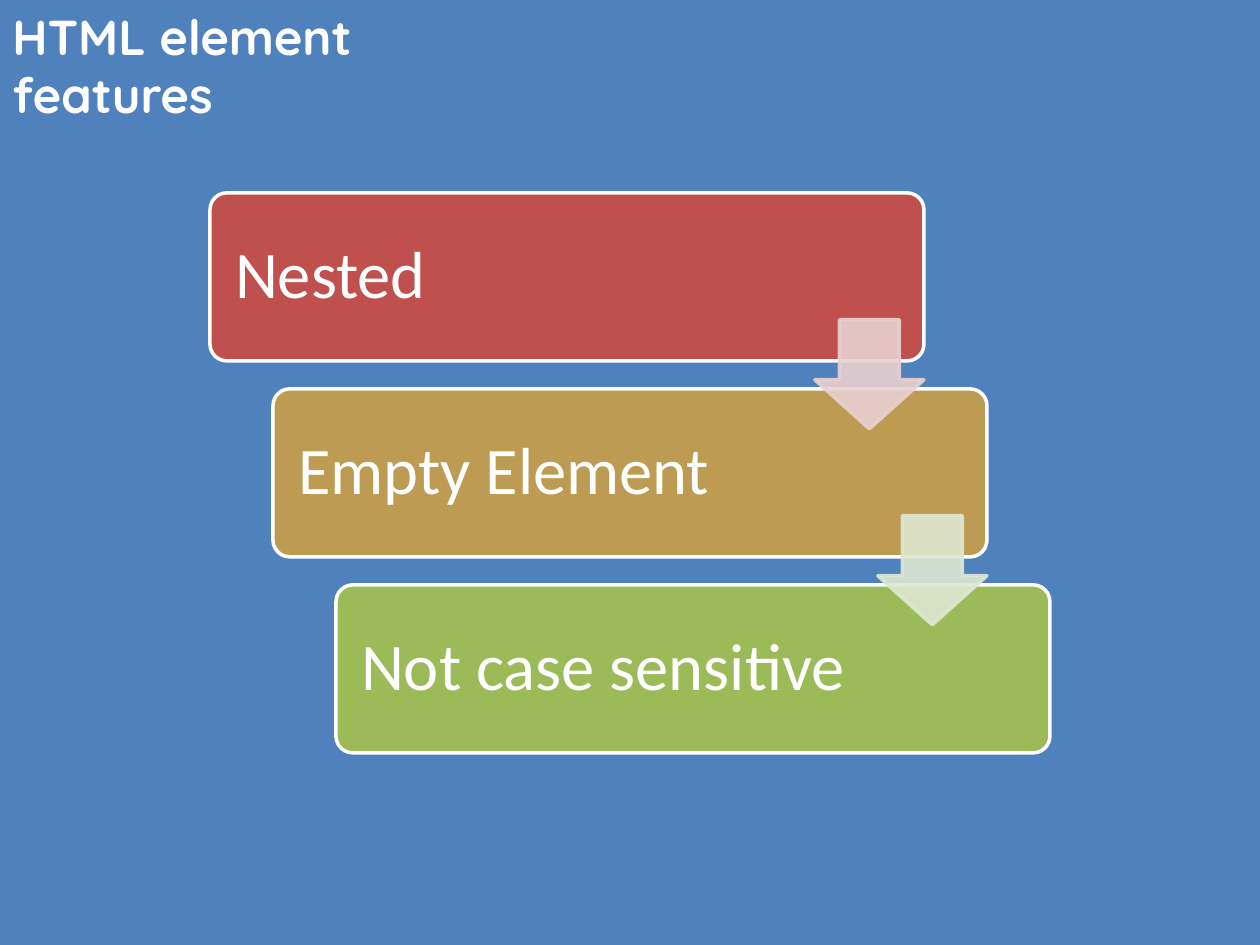
import pptx
import pptx.util
import pptx.dml.color
import pptx.enum.shapes
import pptx.enum.text
import pptx.oxml
import pptx.oxml.ns

Pt = pptx.util.Pt
SHAPES = pptx.enum.shapes.MSO_SHAPE
SLIDE_WIDTH, SLIDE_HEIGHT = 720, 540

COLORS = {
    "backdrop": "4F81BD", "white": "FFFFFF",
    "red": "C0504D", "gold": "BD9B53", "green": "9BBB59",
    "pale red": "E8D0D0", "pale green": "DEE7D1",
}
TITLE = "HTML element features"
FEATURES = [("Nested", "red"), ("Empty Element", "gold"), ("Not case sensitive", "green")]
ARROW_COLORS = ["pale red", "pale green"]

STEP_LEFT, STEP_TOP = 120, 110.2
STEP_WIDTH, STEP_HEIGHT = 408, 96
SHIFT_X, SHIFT_Y = 36, 112
ARROW_SIZE = 62.4
ARROW_DROP = 72.5  # from the top of a step to the top of its arrow


def rgb(color):
    return pptx.dml.color.RGBColor.from_string(COLORS[color])


def add_filled(slide, kind, box, fill, line=None, adjustments=()):
    shape = slide.shapes.add_shape(kind, *map(Pt, box))
    shape.shadow.inherit = False
    shape.fill.solid()
    shape.fill.fore_color.rgb = rgb(fill)
    if line:
        shape.line.color.rgb = rgb(line)
        shape.line.width = Pt(2)
    else:
        shape.line.fill.background()
    for index, value in enumerate(adjustments):
        shape.adjustments[index] = value
    return shape


def write(frame, text, font_name, size, bold=False):
    frame.text = text
    frame.word_wrap = True
    paragraph = frame.paragraphs[0]
    paragraph.alignment = pptx.enum.text.PP_ALIGN.LEFT
    font = paragraph.runs[0].font
    font.name, font.size, font.bold = font_name, Pt(size), bold
    font.color.rgb = rgb("white")


def set_opacity(shape, percent):
    """Make both fill and outline partly transparent."""
    for color in shape.element.spPr.iter(pptx.oxml.ns.qn("a:srgbClr")):
        alpha = pptx.oxml.parse_xml(
            f'<a:alpha {pptx.oxml.ns.nsdecls("a")} val="{percent * 1000}"/>')
        color.append(alpha)


def add_step(slide, index, text, color):
    box = (STEP_LEFT + index * SHIFT_X, STEP_TOP + index * SHIFT_Y, STEP_WIDTH, STEP_HEIGHT)
    step = add_filled(slide, SHAPES.ROUNDED_RECTANGLE, box, color, "white", [0.1])
    frame = step.text_frame
    write(frame, text, "Calibri", 38)
    frame.margin_left = frame.margin_right = Pt(11.5)
    frame.margin_top = frame.margin_bottom = Pt(11.5)
    frame.vertical_anchor = pptx.enum.text.MSO_ANCHOR.MIDDLE
    frame.paragraphs[0].line_spacing = 0.9


def add_arrow(slide, index, color):
    """Place an arrow flush with the right edge of the step it leaves."""
    left = STEP_LEFT + index * SHIFT_X + STEP_WIDTH - ARROW_SIZE
    top = STEP_TOP + index * SHIFT_Y + ARROW_DROP
    arrow = add_filled(slide, SHAPES.DOWN_ARROW, (left, top, ARROW_SIZE, ARROW_SIZE),
                       color, color, [0.55, 0.45])
    set_opacity(arrow, 90)


def main():
    deck = pptx.Presentation()
    deck.slide_width, deck.slide_height = Pt(SLIDE_WIDTH), Pt(SLIDE_HEIGHT)
    slide = deck.slides.add_slide(deck.slide_layouts[6])

    add_filled(slide, SHAPES.RECTANGLE, (0, 0, SLIDE_WIDTH, SLIDE_HEIGHT), "backdrop")
    title = slide.shapes.add_textbox(0, 0, Pt(298), Pt(41))
    write(title.text_frame, TITLE, "Quicksand", 28, bold=True)

    for index, (text, color) in enumerate(FEATURES):
        add_step(slide, index, text, color)
    for index, color in enumerate(ARROW_COLORS):
        add_arrow(slide, index, color)

    deck.save("out.pptx")


if __name__ == "__main__":
    main()
